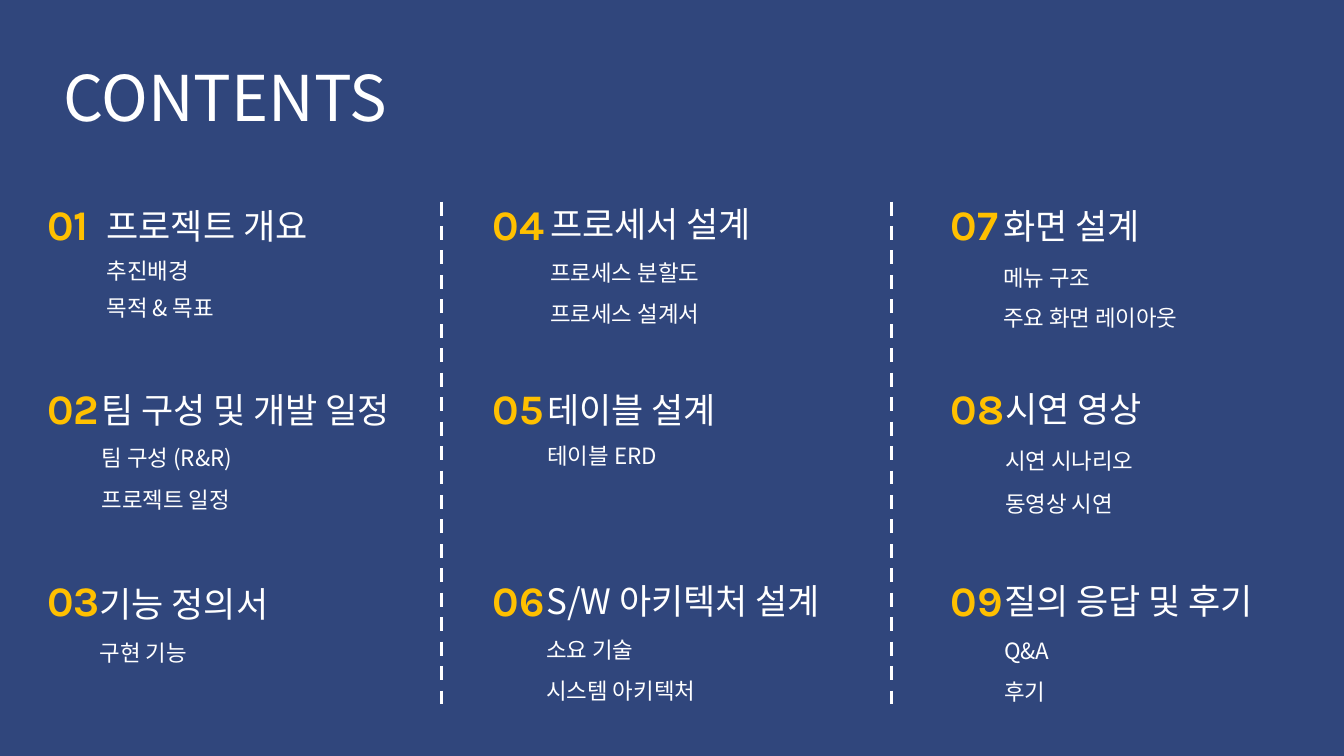
from lxml.etree import SubElement
from pptx import Presentation
from pptx.dml.color import RGBColor
from pptx.enum.dml import MSO_LINE
from pptx.enum.shapes import MSO_CONNECTOR
from pptx.enum.text import MSO_ANCHOR, MSO_AUTO_SIZE, PP_ALIGN
from pptx.oxml.ns import qn
from pptx.util import Pt

PX = 9144
NAVY, WHITE, GOLD = "30467C", "FFFFFF", "FFC000"
CJK = "Noto Sans CJK KR"
TITLE = {"size": Pt(45), "name": CJK, "bold": False}
HEADING = {"size": Pt(25), "name": CJK}
TOPIC = {"size": Pt(16), "name": CJK}
NUMBER = {"size": Pt(30), "name": "Karla", "bold": True}

COLUMNS = (37, 479, 933)
ROWS = (192, 375, 565)

# Heading, indent, heading drop, heading width, topic width, topics with their drops
SECTIONS = [
    ("프로젝트 개요", 59, 6, 276, 206, [("추진배경", 58), ("목적 & 목표", 95)]),
    ("팀 구성 및 개발 일정", 54, 5, 399, 236, [("팀 구성 (R&R)", 61), ("프로젝트 일정", 102)]),
    ("기능 정의서", 52, 8, 276, 236, [("구현 기능", 64)]),
    ("프로세서 설계", 57, 4, 276, 248, [("프로세스 분할도", 60), ("프로세스 설계서", 101)]),
    ("테이블 설계", 54, 6, 226, 248, [("테이블 ERD", 59)]),
    ("S/W 아키텍처 설계", 53, 5, 356, 248, [("소요 기술", 61), ("시스템 아키텍처", 102)]),
    ("화면 설계", 52, 6, 185, 281, [("메뉴 구조", 65), ("주요 화면 레이아웃", 105)]),
    ("시연 영상", 54, 4, 189, 248, [("시연 시나리오", 64), ("동영상 시연", 106)]),
    ("질의 응답 및 후기", 53, 5, 317, 133, [("Q&A", 62), ("후기", 103)]),
]


def color(value):
    """Turn a hex string into a colour."""
    return RGBColor.from_string(value)


def emu(*lengths):
    """Turn px lengths into EMU."""
    return [n * PX for n in lengths]


def write(sp, text, style, ink=WHITE, align=PP_ALIGN.LEFT):
    """Put one formatted line of text into a shape."""
    tf = sp.text_frame
    frame = {"word_wrap": True, "auto_size": MSO_AUTO_SIZE.NONE,
             "vertical_anchor": MSO_ANCHOR.TOP}
    for key, value in frame.items():
        setattr(tf, key, value)
    p = tf.paragraphs[0]
    p.alignment = align
    r = p.add_run()
    r.text = text
    for key, value in style.items():
        setattr(r.font, key, value)
    r.font.color.rgb = color(ink)
    SubElement(r.font._element, qn("a:ea"), typeface=style["name"])


def add_title(s, x, y, w, h):
    """Place the slide title in its box."""
    sp = s.shapes.title
    sp.left, sp.top, sp.width, sp.height = emu(x, y, w, h)
    write(sp, "CONTENTS", TITLE, align=PP_ALIGN.JUSTIFY)


def add_section(s, x, y, number, section):
    """Place a numbered heading and its topics from a top left corner."""
    heading, indent, drop, width, topic_width, topics = section
    shapes = s.shapes.add_group_shape().shapes
    left = x + indent
    write(shapes.add_textbox(*emu(left, y + drop, width, 52)), heading, HEADING)
    write(shapes.add_textbox(*emu(x, y, 82, 61)), f"{number:02}", NUMBER, GOLD)
    for topic, topic_drop in topics:
        sp = shapes.add_textbox(*emu(left, y + topic_drop, topic_width, 37))
        write(sp, topic, TOPIC)


def add_divider(s, x, y, h):
    """Draw a dashed vertical line down from a point."""
    sp = s.shapes.add_connector(MSO_CONNECTOR.STRAIGHT, *emu(x, y, x, y + h))
    sp.line.color.rgb = color(WHITE)
    for key, value in {"width": Pt(2.5), "dash_style": MSO_LINE.DASH}.items():
        setattr(sp.line, key, value)
    SubElement(sp._element.spPr, qn("a:effectLst"))


def add_contents(prs):
    """Add the contents slide."""
    s = prs.slides.add_slide(prs.slide_layouts[5])
    s.background.fill.solid()
    s.background.fill.fore_color.rgb = color(NAVY)
    add_title(s, 53, 53, 416, 86)
    for i, section in enumerate(SECTIONS):
        column, row = divmod(i, len(ROWS))
        add_section(s, COLUMNS[column], ROWS[row], i + 1, section)
    for x in (438, 884):
        add_divider(s, x, 200, 504)


def main():
    """Build and save the presentation."""
    prs = Presentation()
    prs.slide_width, prs.slide_height = emu(1333, 750)
    add_contents(prs)
    prs.save("out.pptx")


if __name__ == "__main__":
    main()
